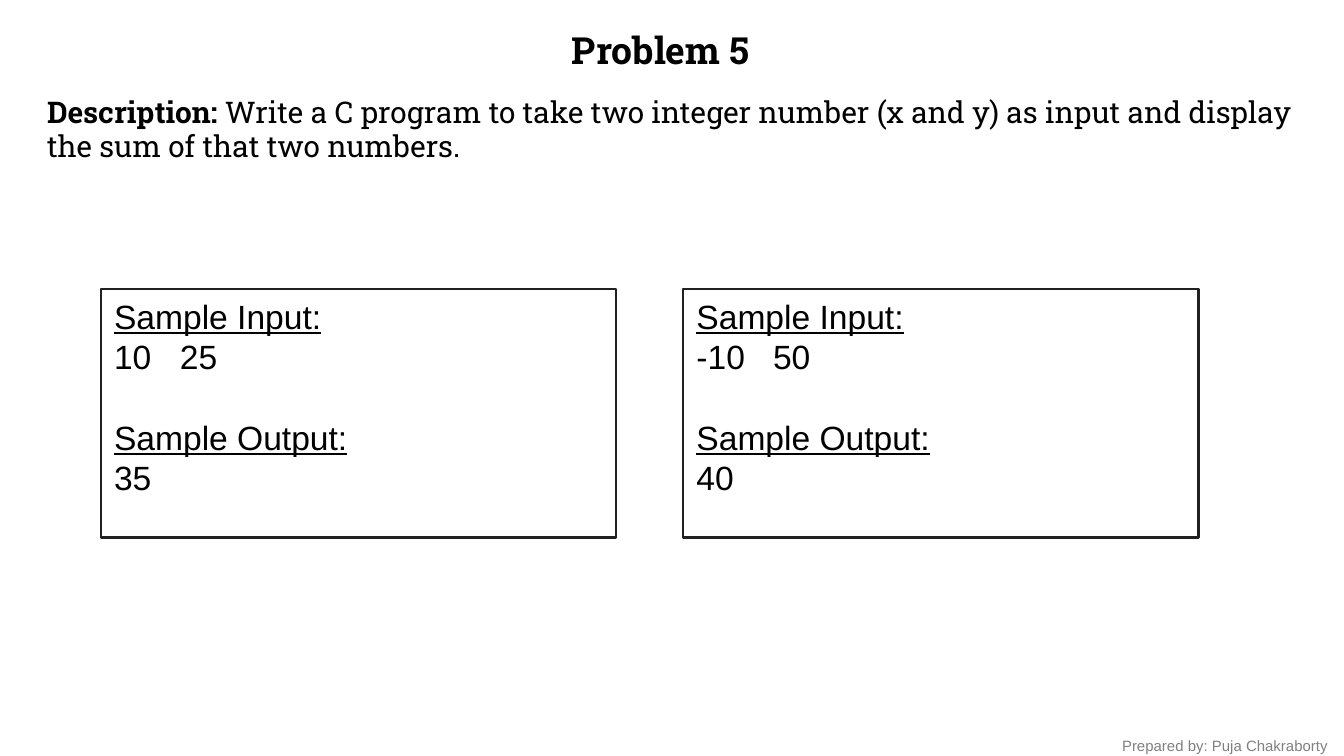
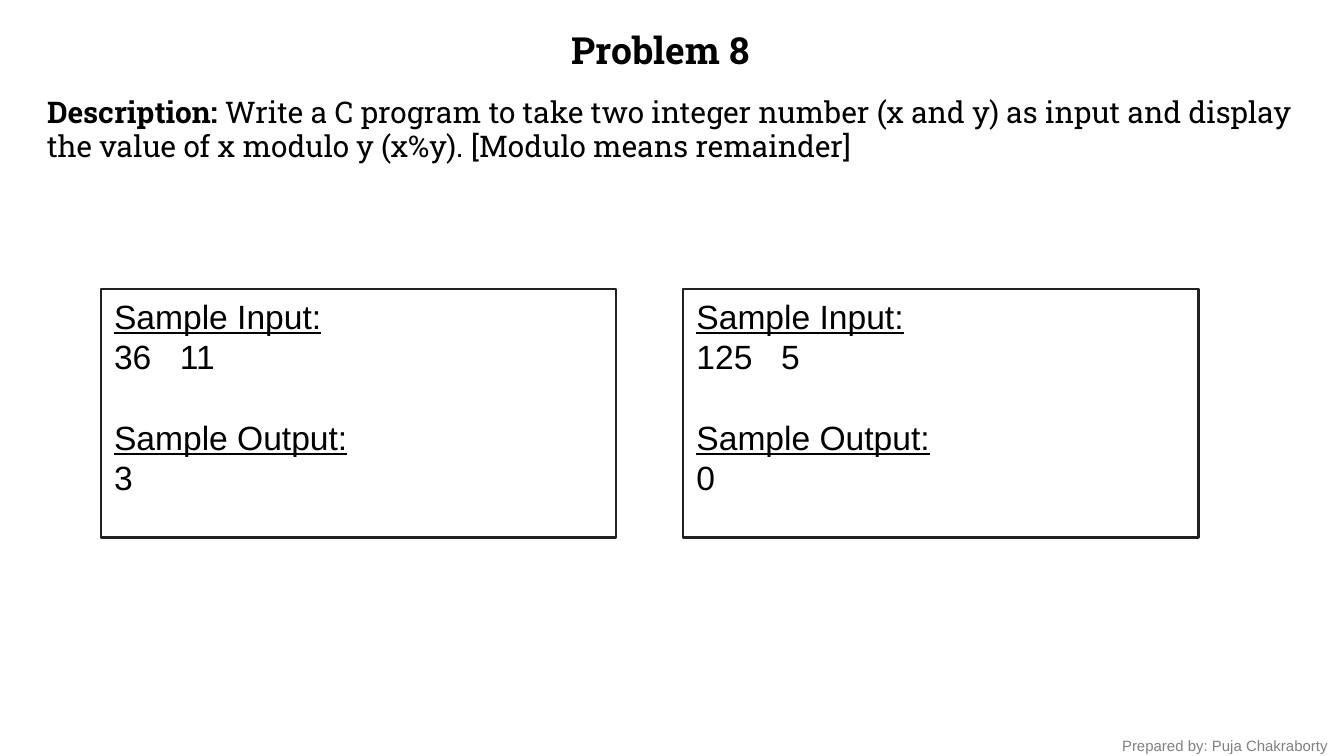
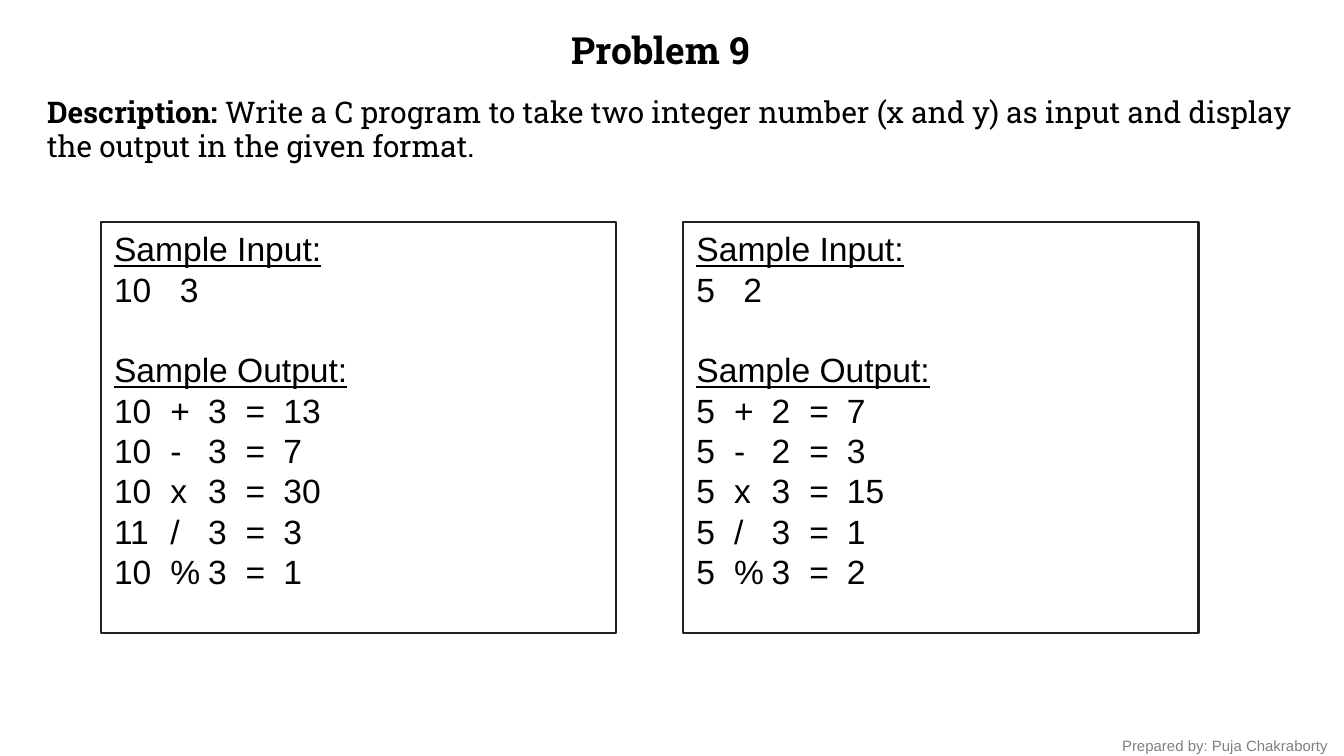
import pptx
import pptx.dml.color
import pptx.enum.shapes
import pptx.enum.text
import pptx.oxml
import pptx.oxml.ns
import pptx.util

SLIDE_WIDTH = pptx.util.Inches(10)
SLIDE_HEIGHT = SLIDE_WIDTH * 9 // 16
COLUMN = SLIDE_WIDTH / 120
ROW = pptx.util.Inches(0.05)

BLACK, WHITE, GREY, OUTLINE = "000000", "FFFFFF", "808080", "212121"
SLAB, SANS = "Roboto Slab", "Arial"
ALIGN = pptx.enum.text.PP_ALIGN
ANCHOR = pptx.enum.text.MSO_ANCHOR

TITLE_BOX = (26, 3, 66, 8.8)
DESCRIPTION_BOX = (3, 13, 115, 12.8)
CREDIT_BOX = (99, 108.6, 22, 4.8)
SAMPLE_LEFT, SAMPLE_WIDTH, SAMPLE_STEP = 9, 46, 52
CREDIT = "Prepared by: Puja Chakraborty"
TASK = "Write a C program to take two integer number (x and y) as input and display "

PROBLEMS = [
    {"title": "Problem 5", "goal": "the sum of that two numbers.", "top": 43, "height": 37,
     "samples": [("10 25", ["35"]), ("-10 50", ["40"])]},
    {"title": "Problem 8", "goal": "the value of x modulo y (x%y). [Modulo means remainder]",
     "top": 43, "height": 37,
     "samples": [("36 11", ["3"]), ("125 5", ["0"])]},
    {"title": "Problem 9", "goal": "the output in the given format.", "top": 33, "height": 61.2,
     "samples": [
         ("10 3", ["10 + 3 = 13", "10 - 3 = 7", "10 x 3 = 30", "11 / 3 = 3", "10 % 3 = 1"]),
         ("5 2", ["5 + 2 = 7", "5 - 2 = 3", "5 x 3 = 15", "5 / 3 = 1", "5 % 3 = 2"])]},
]


def color(hex_value):
    """Turn a hex string into a colour."""
    return pptx.dml.color.RGBColor.from_string(hex_value)


def grid(left, top, width, height):
    """Convert columns and rows to slide lengths."""
    return [round(n * unit) for n, unit in zip((left, top, width, height), (COLUMN, ROW) * 2)]


def place(placeholder, box):
    """Move a placeholder to a grid box."""
    placeholder.left, placeholder.top, placeholder.width, placeholder.height = grid(*box)


def prepare(shape, anchor=ANCHOR.TOP):
    """Set the wrapping, anchor and insets of a shape's text."""
    frame = shape.text_frame
    frame.word_wrap = True
    frame.auto_size = pptx.enum.text.MSO_AUTO_SIZE.NONE
    frame.vertical_anchor = anchor
    frame.margin_left = frame.margin_right = pptx.util.Inches(0.1)
    frame.margin_top = frame.margin_bottom = pptx.util.Inches(0.05)
    return frame


def write(paragraph, text, size=18, font=SANS, fill=BLACK, bold=False, underline=False,
          align=ALIGN.LEFT, spacing=1.0, before=0):
    """Add a formatted run to a paragraph."""
    paragraph.alignment = align
    paragraph.line_spacing = spacing
    paragraph.space_before = pptx.util.Pt(before)
    run = paragraph.add_run()
    run.text = text
    run.font.size = pptx.util.Pt(size)
    run.font.name = font
    run.font.bold = bold
    run.font.underline = underline
    run.font.color.rgb = color(fill)


def remove_bullet(paragraph):
    """Drop the bullet and indent of a list paragraph."""
    properties = paragraph._p.get_or_add_pPr()
    properties.set("marL", "0")
    properties.set("indent", "0")
    properties.append(pptx.oxml.parse_xml(f'<a:buNone {pptx.oxml.ns.nsdecls("a")}/>'))


def set_tabs(paragraph, stops):
    """Give a paragraph left tab stops, in inches."""
    tabs = "".join(f'<a:tab pos="{pptx.util.Inches(stop)}" algn="l"/>' for stop in stops)
    paragraph._p.get_or_add_pPr().append(pptx.oxml.parse_xml(
        f'<a:tabLst {pptx.oxml.ns.nsdecls("a")}>{tabs}</a:tabLst>'))


def write_values(frame, line, first_gap, step):
    """Write one line of values in tabbed columns."""
    paragraph = frame.add_paragraph()
    first, *others = line.split()
    if others:
        first_stop = first_gap + sum(0.08 if sign == "-" else 0.14 for sign in first)
        set_tabs(paragraph, [first_stop + step * i for i in range(len(others))])
    write(paragraph, "\t".join([first, *others]))


def add_title(slide, title, box):
    """Fill the title placeholder."""
    place(slide.shapes.title, box)
    frame = prepare(slide.shapes.title, ANCHOR.MIDDLE)
    write(frame.paragraphs[0], title, size=20, font=SLAB, bold=True, align=ALIGN.CENTER)


def add_description(slide, goal, box):
    """Fill the body placeholder with the task."""
    description = slide.placeholders[1]
    place(description, box)
    paragraph = prepare(description, ANCHOR.MIDDLE).paragraphs[0]
    remove_bullet(paragraph)
    for text, bold in (("Description: ", True), (TASK + goal, False)):
        write(paragraph, text, size=16, font=SLAB, bold=bold, spacing=0.96)


def add_credit(slide, box):
    """Add the author line at the foot of the slide."""
    frame = prepare(slide.shapes.add_textbox(*grid(*box)))
    write(frame.paragraphs[0], CREDIT, size=8, fill=GREY)


def add_sample(slide, given, results, box):
    """Add an outlined panel with a sample input and its output."""
    panel = slide.shapes.add_shape(pptx.enum.shapes.MSO_SHAPE.RECTANGLE, *grid(*box))
    panel.shadow.inherit = False
    panel.fill.background()
    panel.line.color.rgb = color(OUTLINE)
    panel.line.width = pptx.util.Pt(1.25)
    frame = prepare(panel)
    write(frame.paragraphs[0], "Sample Input:", underline=True)
    write_values(frame, given, first_gap=0.21, step=0.28)
    write(frame.add_paragraph(), "Sample Output:", underline=True, before=21.6)
    for result in results:
        write_values(frame, result, first_gap=0.14, step=0.28)


def add_problem(deck, problem):
    """Build one problem slide."""
    slide = deck.slides.add_slide(deck.slide_layouts[1])
    slide.background.fill.solid()
    slide.background.fill.fore_color.rgb = color(WHITE)
    add_title(slide, problem["title"], TITLE_BOX)
    add_description(slide, problem["goal"], DESCRIPTION_BOX)
    add_credit(slide, CREDIT_BOX)
    for i, (given, results) in enumerate(problem["samples"]):
        add_sample(slide, given, results, (SAMPLE_LEFT + i * SAMPLE_STEP, problem["top"],
                                           SAMPLE_WIDTH, problem["height"]))


def main():
    """Build and save the deck."""
    deck = pptx.Presentation()
    deck.slide_width, deck.slide_height = SLIDE_WIDTH, SLIDE_HEIGHT
    for problem in PROBLEMS:
        add_problem(deck, problem)
    deck.save("out.pptx")


if __name__ == "__main__":
    main()
